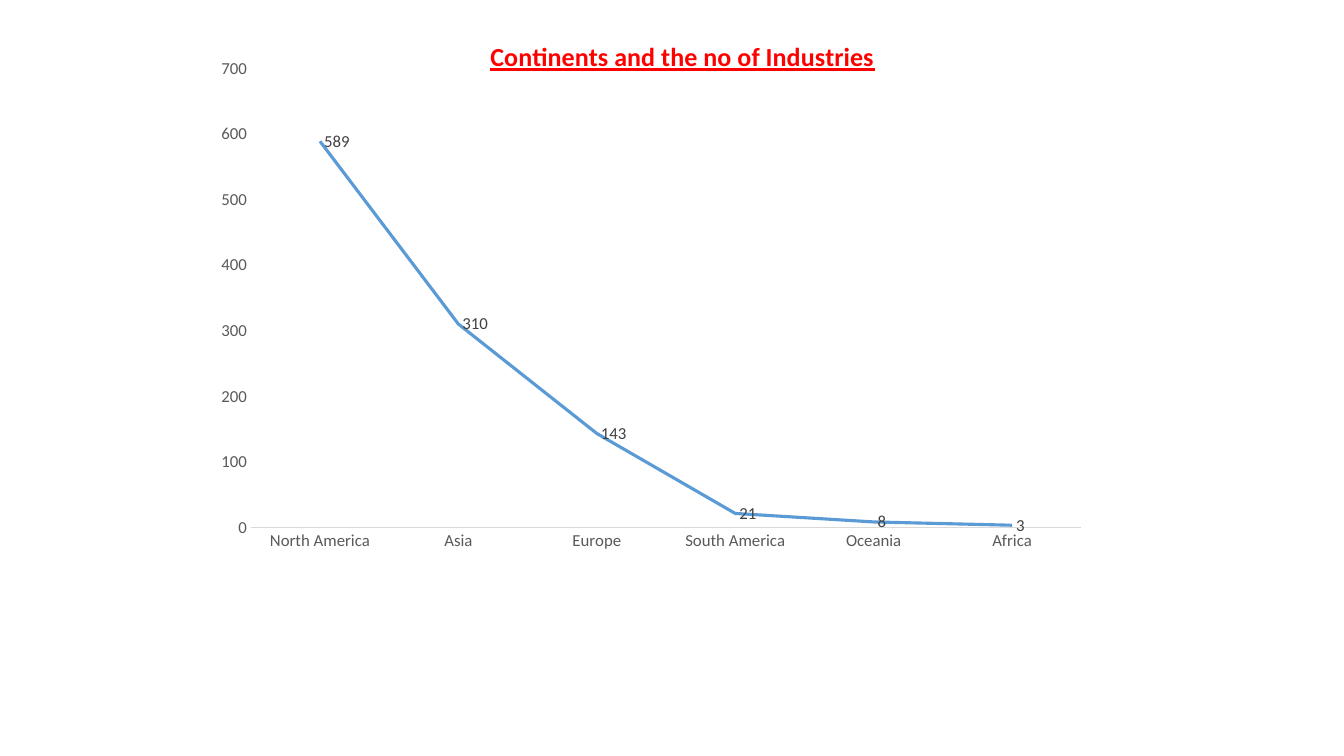
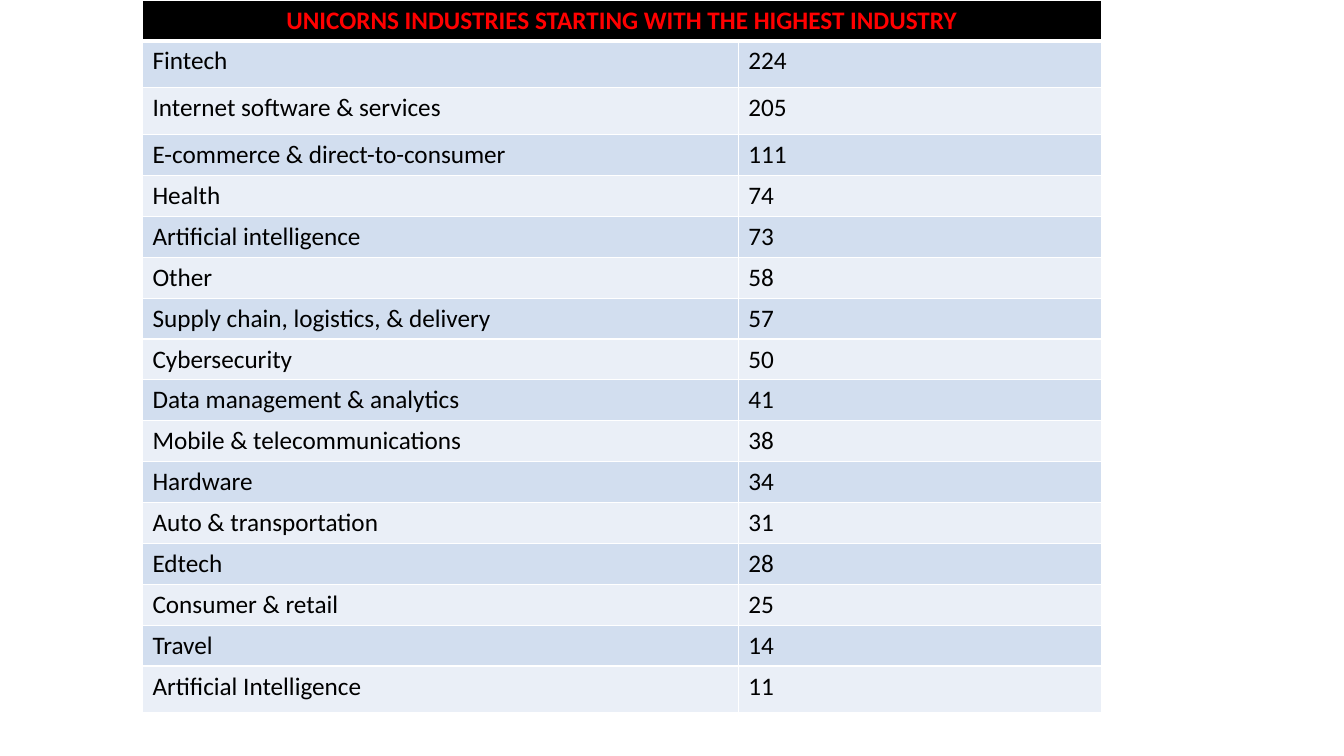
from dataclasses import dataclass
from lxml.etree import SubElement as Sub
from pptx import Presentation as Deck
from pptx.chart.data import CategoryChartData as Data
from pptx.dml.color import RGBColor as RGB
from pptx.enum.chart import XL_CHART_TYPE as Kind, XL_LABEL_POSITION as Spot, XL_TICK_MARK as Tick
from pptx.enum.text import PP_ALIGN as Align
from pptx.oxml import parse_xml
from pptx.oxml.ns import nsdecls, qn
from pptx.util import Inches, Pt


@dataclass(frozen=True)
class Theme:
    """Hold the colours, the font and the type sizes."""
    font: str = "Calibri"
    head: str = "FF0000"
    ink: str = "000000"
    axis: str = "595959"
    label: str = "404040"
    rule: str = "D9D9D9"
    lines: tuple = ("5B9BD5", "ED7D31", "A5A5A5")
    white: str = "FFFFFF"
    bands: tuple = ("D2DEEF", "EAEFF7")
    title: float = 18.6
    big: int = 18
    small: int = 12


LOOK = Theme()
WIDE, HIGH = Inches(13.33), Inches(7.5)
LANDS = {"North America": 589, "Asia": 310, "Europe": 143,
         "South America": 21, "Oceania": 8, "Africa": 3}
HEAD = "UNICORNS INDUSTRIES STARTING WITH THE HIGHEST INDUSTRY"
FIELDS = (
    ("Fintech", 224), ("Internet software & services", 205),
    ("E-commerce & direct-to-consumer", 111), ("Health", 74),
    ("Artificial intelligence", 73), ("Other", 58),
    ("Supply chain, logistics, & delivery", 57), ("Cybersecurity", 50),
    ("Data management & analytics", 41), ("Mobile & telecommunications", 38),
    ("Hardware", 34), ("Auto & transportation", 31), ("Edtech", 28),
    ("Consumer & retail", 25), ("Travel", 14), ("Artificial Intelligence", 11),
)


def place(left, top, width, height):
    """Turn shares of the slide into lengths."""
    return [round(share * full) for share, full in
            zip((left, top, width, height), (WIDE, HIGH, WIDE, HIGH))]


def style(font, size, tint, bold=False):
    """Set the face, size, colour and weight of a font."""
    font.name, font.size, font.bold = LOOK.font, Pt(size), bold
    font.color.rgb = RGB.from_string(tint)


def write(frame, text, tint, bold=False, size=LOOK.big):
    """Add one run to a text frame and return its font."""
    run = frame.paragraphs[0].add_run()
    run.text = text
    style(run.font, size, tint, bold)
    return run.font


def layout(node, index, **parts):
    """Give a chart part a manual place within the chart."""
    for old in node.findall(qn("c:layout")):
        node.remove(old)
    box = parse_xml(f'<c:layout {nsdecls("c")}><c:manualLayout/></c:layout>')
    for name, value in parts.items():
        Sub(box[0], qn(f"c:{name}")).set("val", str(value))
    node.insert(index, box)


def trim(axis):
    """Strip an axis to its labels."""
    axis.has_major_gridlines = False
    axis.major_tick_mark = axis.minor_tick_mark = Tick.NONE
    style(axis.tick_labels.font, LOOK.small, LOOK.axis)


def trace(trend, tint):
    """Style one line and its value labels."""
    trend.smooth = False
    trend.format.line.color.rgb = RGB.from_string(tint)
    trend.format.line.width = Pt(2.25)
    marks = trend.data_labels
    marks.show_value, marks.position = True, Spot.RIGHT
    style(marks.font, LOOK.small, LOOK.label)


def graph(slide, title, points, spot):
    """Draw a line chart with labelled points."""
    data = Data()
    data.categories = list(points)
    blank = [None] * len(points)
    for rank, values in enumerate((list(points.values()), blank, blank), 1):
        data.add_series(f"Series {rank}", values)
    chart = slide.shapes.add_chart(Kind.LINE, *spot, data).chart
    style(chart.font, LOOK.small, LOOK.ink)
    chart.has_legend = False
    head = chart.chart_title
    write(head.text_frame, title, LOOK.head, True, LOOK.title).underline = True
    layout(head.element, 1, xMode="edge", yMode="edge", x=0.335, y=0.01)
    layout(chart.element.find(".//" + qn("c:plotArea")), 0, layoutTarget="inner",
           xMode="edge", yMode="edge", x=0.073, y=0.068, w=0.927, h=0.767)
    cats, vals = chart.category_axis, chart.value_axis
    trim(cats)
    trim(vals)
    cats.format.line.color.rgb = RGB.from_string(LOOK.rule)
    cats.format.line.width = Pt(0.75)
    vals.format.line.fill.background()
    vals.minimum_scale, vals.maximum_scale, vals.major_unit = 0, 700, 100
    plot = chart.plots[0]
    plot.vary_by_categories = False
    for trend, tint in zip(plot.series, LOOK.lines):
        trace(trend, tint)


def paint(cell, tint, base=1):
    """Fill a cell and rule it in white."""
    props = cell._tc.get_or_add_tcPr()
    for side, width in zip("LRTB", (1, 1, 1, base)):
        edge = Sub(props, qn(f"a:ln{side}"), w=str(Pt(width)))
        Sub(Sub(edge, qn("a:solidFill")), qn("a:srgbClr"), val=LOOK.white)
    cell.fill.solid()
    cell.fill.fore_color.rgb = RGB.from_string(tint)


def table(slide, head, rows, spot):
    """Draw a banded table under one merged heading."""
    grid = slide.shapes.add_table(len(rows) + 1, 2, *spot).table
    for col, share in zip(grid.columns, (0.6215, 0.3785)):
        col.width = round(spot[2] * share)
    tall = (1, 2, len(rows))
    for rank, row in enumerate(grid.rows):
        row.height = round(HIGH * (0.062 if rank in tall else 0.053))
    top = grid.cell(0, 0)
    top.merge(grid.cell(0, 1))
    for col in range(2):
        paint(grid.cell(0, col), LOOK.ink, 3)
    write(top.text_frame, head, LOOK.head, True)
    top.text_frame.paragraphs[0].alignment = Align.CENTER
    for line, pair in enumerate(rows, 1):
        for col, value in enumerate(pair):
            cell = grid.cell(line, col)
            paint(cell, LOOK.bands[(line - 1) % 2])
            write(cell.text_frame, str(value), LOOK.ink)


def main():
    """Build and save both slides."""
    deck = Deck()
    deck.slide_width, deck.slide_height = WIDE, HIGH
    blank = deck.slide_layouts[6]
    graph(deck.slides.add_slide(blank), "Continents and the no of Industries",
          LANDS, place(0.138, 0.037, 0.667, 0.791))
    table(deck.slides.add_slide(blank), HEAD, FIELDS,
          place(0.106, 0, 0.7134, 0.932))
    deck.save("out.pptx")


main()
